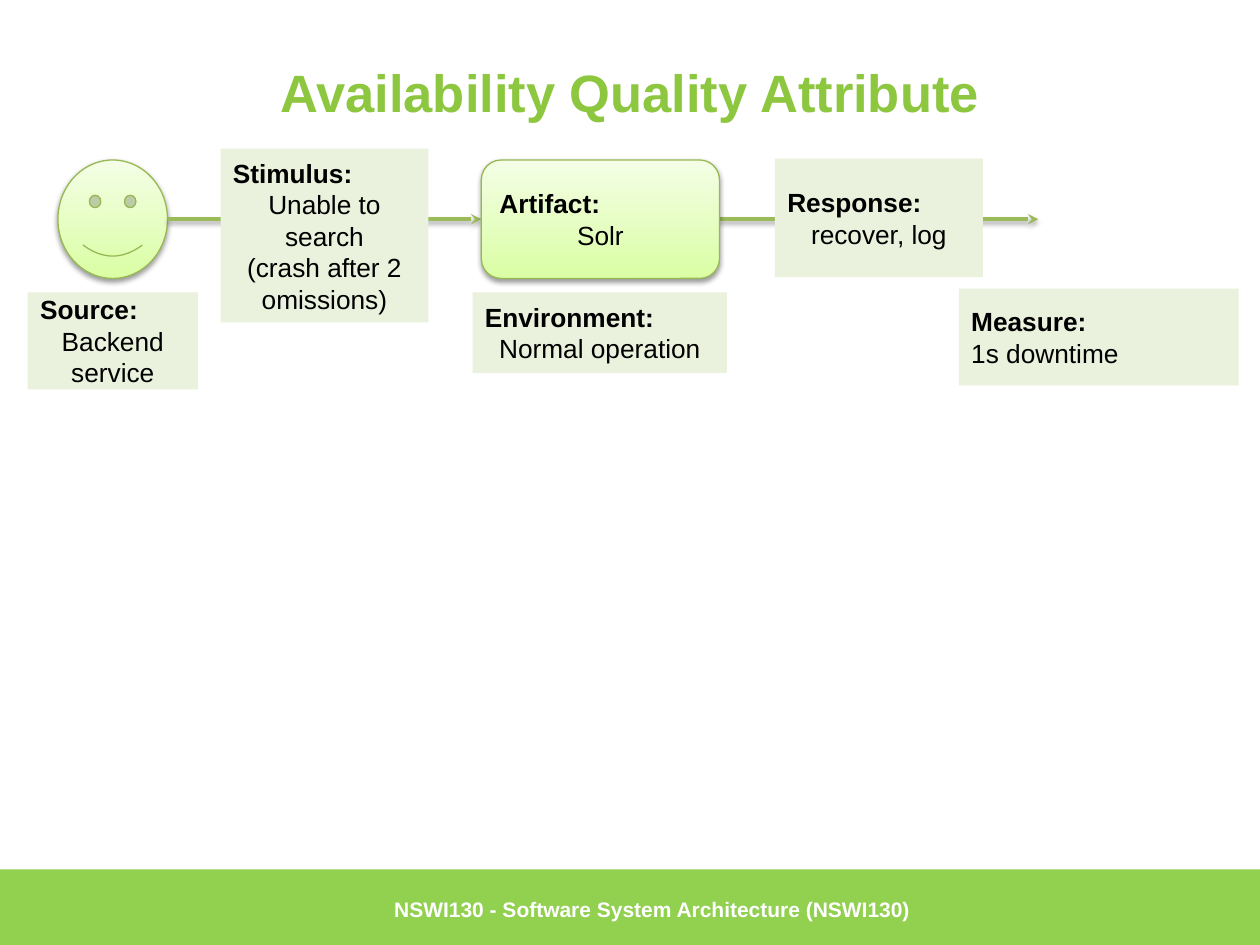
from lxml.etree import SubElement as Sub
from pptx import Presentation
from pptx.dml.color import RGBColor
from pptx.enum.shapes import MSO_CONNECTOR as Link, MSO_SHAPE as Shape
from pptx.enum.text import MSO_ANCHOR as Anchor, PP_ALIGN as Align
from pptx.oxml.ns import qn
from pptx.util import Inches, Pt

HUES = {
    "title": "8DC63F", "band": "92D050", "label": "EAF1DD", "edge": "97B853",
    "arrow": "9BBB59", "deep": "DAFEA4", "pale": "F4FEE6",
    "ink": "000000", "white": "FFFFFF",
}
MID = 1.74  # height of the arrows

# Each label: box, heading, body lines, body alignment
LABELS = [
    ((1.75, 1.18, 1.65, 1.38), "Stimulus:",
     ["Unable to search", "(crash after 2 omissions)"], Align.CENTER),
    ((3.75, 2.32, 2.02, 0.64), "Environment:", ["Normal operation"], Align.CENTER),
    ((6.15, 1.26, 1.65, 0.94), "Response:", ["recover, log"], Align.CENTER),
    ((7.61, 2.29, 2.22, 0.77), "Measure:", ["1s downtime"], Align.LEFT),
    ((0.22, 2.32, 1.35, 0.77), "Source:", ["Backend service"], Align.CENTER),
]


def hue(name):
    return RGBColor.from_string(HUES[name])


def style(par, size, color, bold, align):
    par.alignment = align
    for run in par.runs:
        font = run.font
        font.name, font.size, font.bold = "Arial", Pt(size), bold
        font.color.rgb = hue(color)


def add_box(slide, kind, box):
    shape = slide.shapes.add_shape(kind, *map(Inches, box))
    shape.shadow.inherit = False
    return shape


def fill_flat(shape, color):
    shape.fill.solid()
    shape.fill.fore_color.rgb = hue(color)
    shape.line.fill.background()


def fill_glow(shape):
    """Pale to green gradient with a thin edge and a soft shadow."""
    shape.fill.gradient()
    shape.fill.gradient_angle = 90
    for stop, color in zip(shape.fill.gradient_stops, ("deep", "pale")):
        stop.color.rgb = hue(color)
    shape.line.color.rgb = hue("edge")
    shape.line.width = Pt(0.75)
    add_shade(shape.element.spPr.find(qn("a:effectLst")))


def add_shade(effects):
    shade = Sub(effects, qn("a:outerShdw"), blurRad=str(Pt(3.1)),
                dist=str(Pt(1.6)), dir="5400000", rotWithShape="0")
    color = Sub(shade, qn("a:srgbClr"), val=HUES["ink"])
    Sub(color, qn("a:alpha"), val="38000")


def add_arrow(slide, start, end):
    line = slide.shapes.add_connector(
        Link.STRAIGHT, *map(Inches, (start, MID, end, MID)))
    line.line.color.rgb = hue("arrow")
    line.line.width = Pt(2)
    props = line.element.spPr
    Sub(props.find(qn("a:ln")), qn("a:tailEnd"), type="stealth")
    add_shade(Sub(props, qn("a:effectLst")))


def write_note(shape, head, body, align):
    """Bold heading with plain lines below it."""
    frame = shape.text_frame
    frame.word_wrap = True
    frame.vertical_anchor = Anchor.MIDDLE
    frame.text = "\n".join([head, *body])
    first, *rest = frame.paragraphs
    style(first, 15, "ink", True, Align.LEFT)
    for par in rest:
        style(par, 15, "ink", False, align)


def add_title(slide, box):
    title = slide.shapes.title
    title.left, title.top, title.width, title.height = map(Inches, box)
    frame = title.text_frame
    frame.text = "Availability Quality Attribute"
    frame.vertical_anchor = Anchor.MIDDLE
    style(frame.paragraphs[0], 30, "title", True, Align.CENTER)


def add_footer(slide, box):
    left, top, width, height = box
    fill_flat(add_box(slide, Shape.RECTANGLE, box), "band")
    text = slide.shapes.add_textbox(
        *map(Inches, (left + 3.03, top, width - 3.98, height)))
    frame = text.text_frame
    frame.word_wrap = True
    frame.vertical_anchor = Anchor.MIDDLE
    frame.text = "NSWI130 - Software System Architecture (NSWI130)"
    style(frame.paragraphs[0], 12, "white", True, Align.LEFT)


def add_flow(slide, face_box, core_box):
    # Source face
    face = add_box(slide, Shape.SMILEY_FACE, face_box)
    face.adjustments[0] = 0.047
    fill_glow(face)

    # Arrows into and out of the artifact, under the labels
    add_arrow(slide, face_box[0] + face_box[2], core_box[0])
    add_arrow(slide, core_box[0] + core_box[2], 8.24)

    # Labels
    for box, head, body, align in LABELS:
        label = add_box(slide, Shape.RECTANGLE, box)
        fill_flat(label, "label")
        write_note(label, head, body, align)

    # Artifact
    core = add_box(slide, Shape.ROUNDED_RECTANGLE, core_box)
    fill_glow(core)
    write_note(core, "Artifact:", ["Solr"], Align.CENTER)


def main():
    deck = Presentation()
    deck.slide_width, deck.slide_height = Inches(10), Inches(7.5)
    slide = deck.slides.add_slide(deck.slide_layouts[5])
    add_footer(slide, (0, 6.9, 10, 0.63))
    add_title(slide, (0.5, 0.3, 9, 0.85))
    add_flow(slide, (0.46, 1.27, 0.87, 0.94), (3.82, 1.27, 1.89, 0.94))
    deck.save("out.pptx")


if __name__ == "__main__":
    main()
